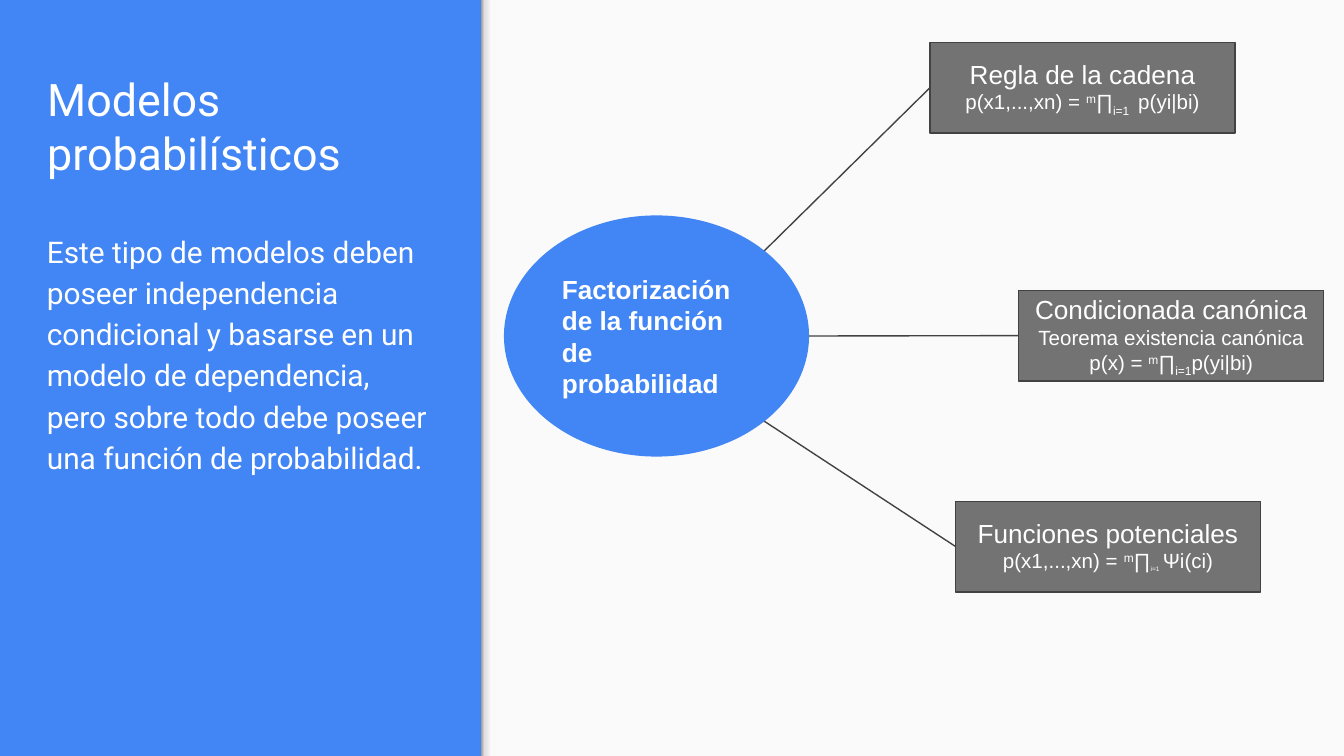
from collections import namedtuple
from math import sqrt

from lxml import etree
from pptx import Presentation
from pptx.dml.color import RGBColor
from pptx.enum.shapes import MSO_CONNECTOR, MSO_SHAPE
from pptx.enum.text import MSO_ANCHOR, MSO_AUTO_SIZE, PP_ALIGN
from pptx.oxml.ns import qn
from pptx.util import Inches, Pt

Box = namedtuple("Box", "left top width height")

RECTANGLE, OVAL = MSO_SHAPE.RECTANGLE, MSO_SHAPE.OVAL
STRAIGHT = MSO_CONNECTOR.STRAIGHT
TOP, MIDDLE, BOTTOM = MSO_ANCHOR.TOP, MSO_ANCHOR.MIDDLE, MSO_ANCHOR.BOTTOM
LEFT, CENTER = PP_ALIGN.LEFT, PP_ALIGN.CENTER
NO_AUTOFIT = MSO_AUTO_SIZE.NONE
LEFT_SIDE = 1

BLUE = RGBColor(0x42, 0x85, 0xF4)
PAPER = RGBColor(0xFA, 0xFA, 0xFA)
WHITE = RGBColor(0xFF, 0xFF, 0xFF)
GRAY = RGBColor(0x73, 0x73, 0x73)
DARK = RGBColor(0x42, 0x42, 0x42)
EDGE_STOPS = (
    (0, RGBColor(0x99, 0x99, 0x99)),
    (20, RGBColor(0xDE, 0xDE, 0xDE)),
    (64, RGBColor(0xF9, 0xF9, 0xF9)),
    (100, RGBColor(0xF9, 0xF9, 0xF9)),
)

SLIDE = Box(0, 0, Inches(10), Inches(5.625))
SUPER, SUB = 30, -25
RULE_SHARE = (0.227, 0.12)

TITLE = "Modelos probabilísticos"
BODY = (
    "Este tipo de modelos deben poseer independencia condicional y basarse en un "
    "modelo de dependencia, pero sobre todo debe poseer una función de probabilidad."
)
HUB = "Factorización de la función de probabilidad"
PRODUCT = (("m", 11, SUPER), ("∏", 11, 0))
RULES = (
    (0.692, 0.056, 1, (
        (("Regla de la cadena", 14, 0),),
        (("p(x1,...,xn) = ", 11, 0), *PRODUCT, ("i=1 ", 11, SUB), (" p(yi|bi)", 11, 0)),
    )),
    (0.758, 0.384, 0, (
        (("Condicionada canónica", 14, 0),),
        (("Teorema existencia canónica", 11, 0),),
        (("p(x) = ", 11, 0), *PRODUCT, ("i=1", 11, SUB), ("p(yi|bi)", 11, 0)),
    )),
    (0.711, 0.663, -1, (
        (("Funciones potenciales", 14, 0),),
        (("p(x1,...,xn) = ", 11, 0), *PRODUCT, ("i=1", 6, SUB), (" ", 11, SUB),
         ("Ψi(ci)", 11, 0)),
    )),
)


def share(box, left, top, width, height):
    """Return the part of a box given by shares of its size."""
    return Box(
        round(box.left + left * box.width),
        round(box.top + top * box.height),
        round(width * box.width),
        round(height * box.height),
    )


def add_block(slide, kind, box, fill, line=None):
    """Add a flat preset shape without a shadow."""
    shape = slide.shapes.add_shape(kind, *box)
    shape.shadow.inherit = False
    if fill is not None:
        shape.fill.solid()
        shape.fill.fore_color.rgb = fill
    if line is None:
        shape.line.fill.background()
    else:
        shape.line.color.rgb = line
        shape.line.width = Pt(0.75)
    return shape


def write(shape, lines, font_name, alignment, anchor, bold=False):
    """Write lines of (text, size, baseline) runs and return the paragraphs."""
    frame = shape.text_frame
    frame.word_wrap = True
    frame.auto_size = NO_AUTOFIT
    frame.vertical_anchor = anchor
    frame.margin_left = frame.margin_right = Inches(0.1)
    frame.margin_top = frame.margin_bottom = Inches(0.1)
    for index, runs in enumerate(lines):
        paragraph = frame.add_paragraph() if index else frame.paragraphs[0]
        paragraph.alignment = alignment
        paragraph.line_spacing = 1.0
        for text, size, baseline in runs:
            run = paragraph.add_run()
            run.text = text
            run.font.name = font_name
            run.font.size = Pt(size)
            run.font.bold = bold
            run.font.color.rgb = WHITE
            if baseline:
                run.font._element.set("baseline", str(baseline * 1000))
    return frame.paragraphs


def add_edge(slide, box):
    """Add the narrow gradient that shades the border of the paper."""
    edge = add_block(slide, RECTANGLE, box, None)
    edge.fill.gradient()
    edge.fill.gradient_angle = 0
    stops = edge._element.spPr.find(".//" + qn("a:gsLst"))
    for stop in list(stops):
        stops.remove(stop)
    for position, color in EDGE_STOPS:
        stop = etree.SubElement(stops, qn("a:gs"), pos=str(position * 1000))
        etree.SubElement(stop, qn("a:srgbClr"), val=str(color))


def add_text_panel(slide, box):
    """Place the title and the body text in the blue panel."""
    title = slide.shapes.title
    title.left, title.top, title.width, title.height = share(box, 0.07, 0.07, 0.858, 0.185)
    write(title, [[(TITLE, 24, 0)]], "Roboto", LEFT, BOTTOM)
    body = slide.shapes.add_textbox(*share(box, 0.07, 0.284, 0.858, 0.615))
    paragraph = write(body, [[(BODY, 16, 0)]], "Roboto", LEFT, TOP)[0]
    paragraph.line_spacing = 1.15
    paragraph.space_after = Pt(16)


def add_link(slide, hub, rule, direction):
    """Join the hub's right, upper right or lower right to a rule box."""
    reach = 1 / sqrt(2) if direction else 1
    start_x = round(hub.left + hub.width / 2 * (1 + reach))
    start_y = round(hub.top + hub.height / 2 * (1 - direction * reach))
    link = slide.shapes.add_connector(STRAIGHT, start_x, start_y, rule.left, rule.top)
    link.end_connect(rule, LEFT_SIDE)
    link.line.color.rgb = DARK
    link.line.width = Pt(0.75)
    etree.SubElement(link._element.spPr, qn("a:effectLst"))


def add_diagram(slide, box):
    """Place the hub, the rule boxes and their links."""
    hub = add_block(slide, OVAL, share(box, 0.375, 0.285, 0.227, 0.319), BLUE)
    write(hub, [[(HUB, 14, 0)]], "Arial", LEFT, MIDDLE, bold=True)
    for left, top, direction, lines in RULES:
        rule = add_block(slide, RECTANGLE, share(box, left, top, *RULE_SHARE), GRAY, DARK)
        write(rule, lines, "Arial", CENTER, MIDDLE)
        add_link(slide, hub, rule, direction)


def main():
    """Build and save the slide."""
    presentation = Presentation()
    presentation.slide_width, presentation.slide_height = SLIDE.width, SLIDE.height
    slide = presentation.slides.add_slide(presentation.slide_layouts[5])
    slide.background.fill.solid()
    slide.background.fill.fore_color.rgb = BLUE
    add_block(slide, RECTANGLE, share(SLIDE, 0.358, 0, 0.642, 1), PAPER)
    add_edge(slide, share(SLIDE, 0.358, 0, 0.012, 1))
    add_text_panel(slide, share(SLIDE, 0, 0, 0.358, 1))
    add_diagram(slide, SLIDE)
    presentation.save("out.pptx")


if __name__ == "__main__":
    main()
